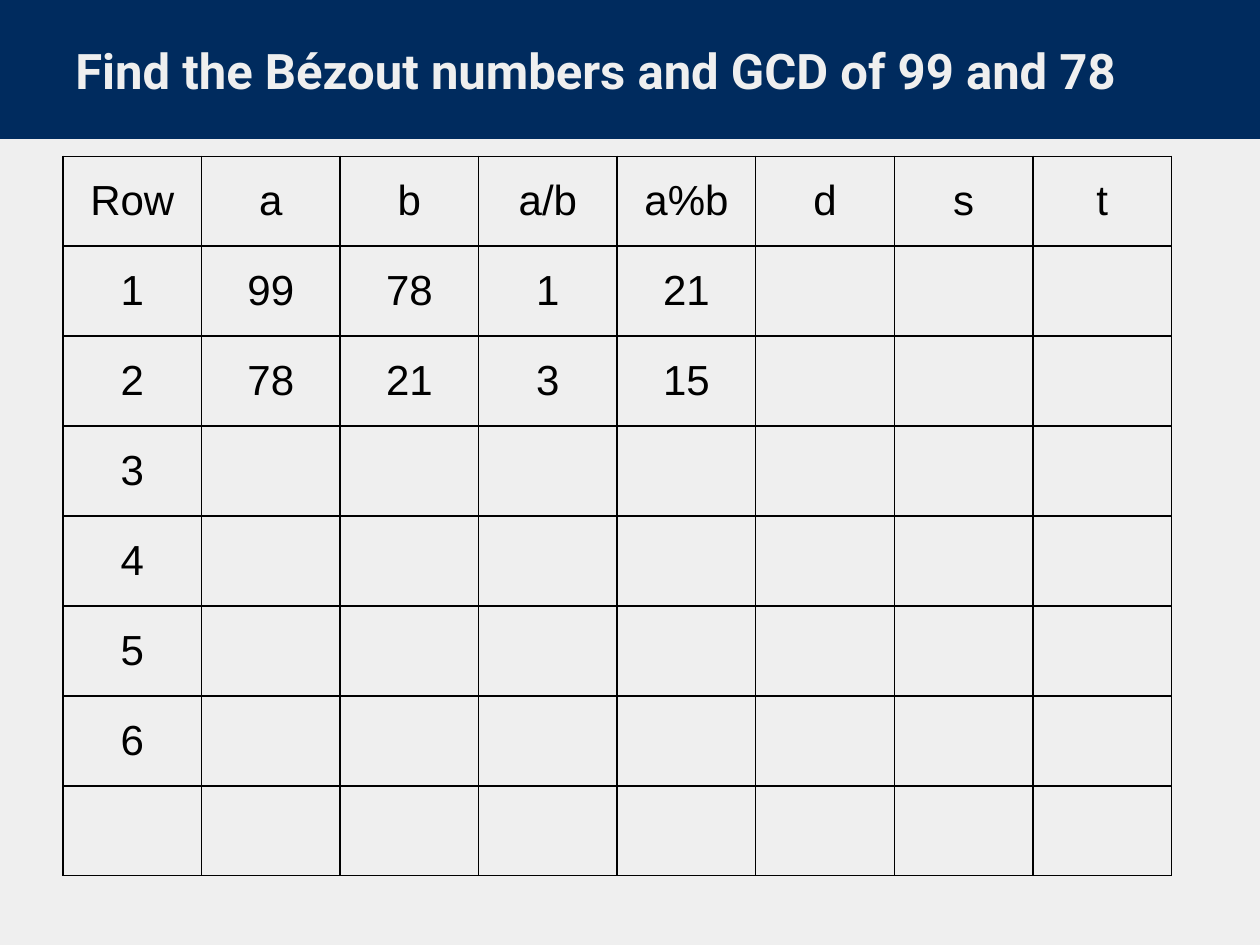
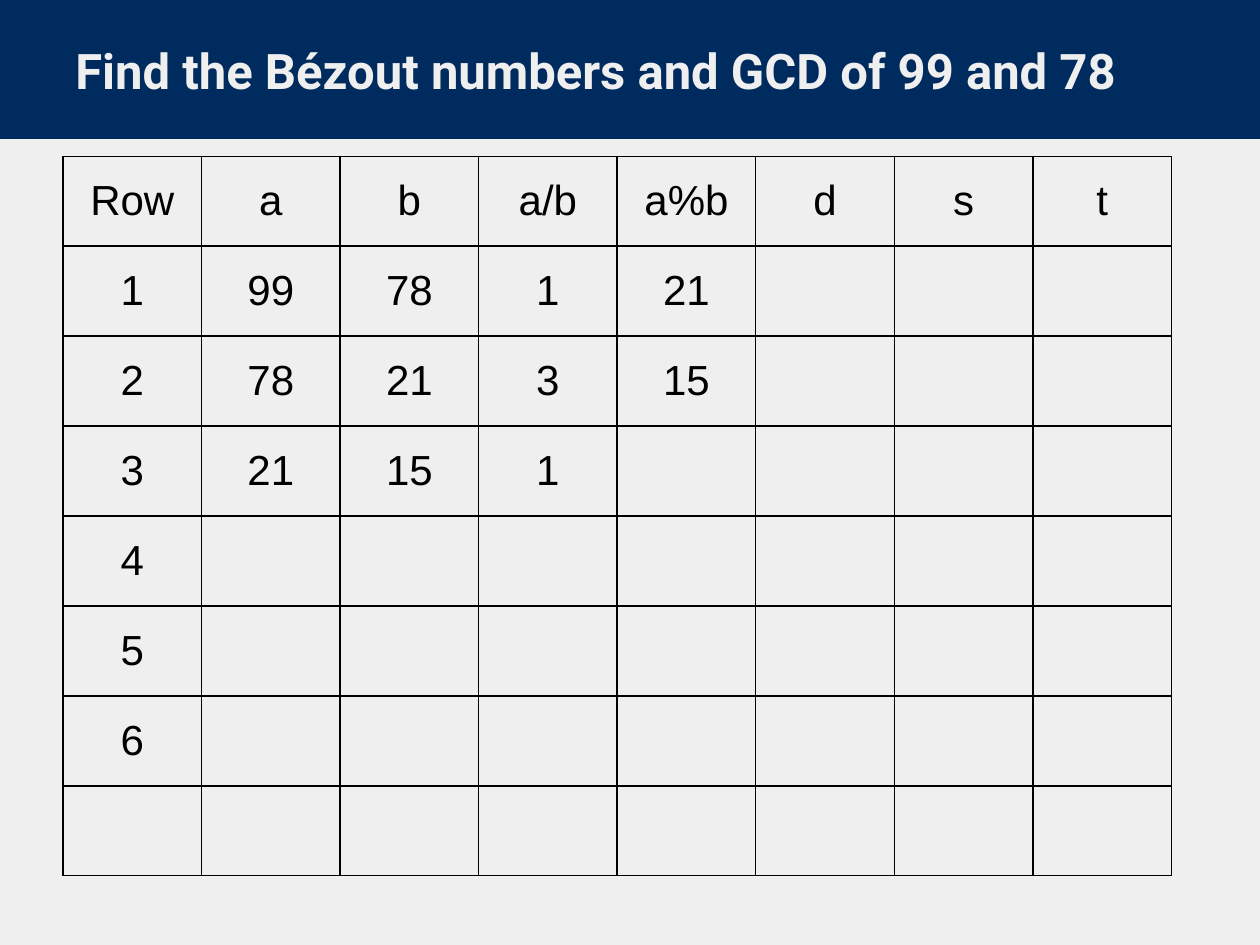
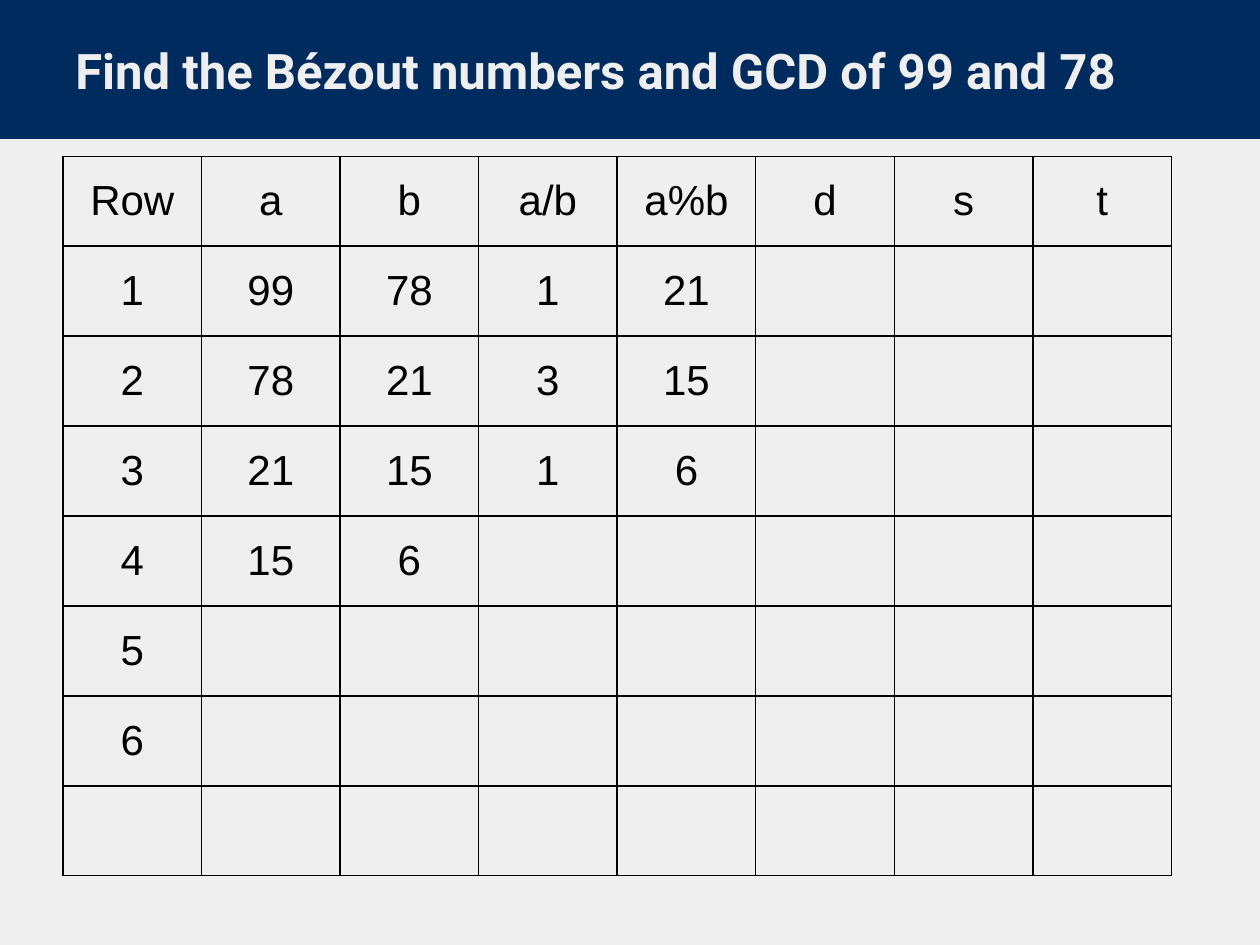
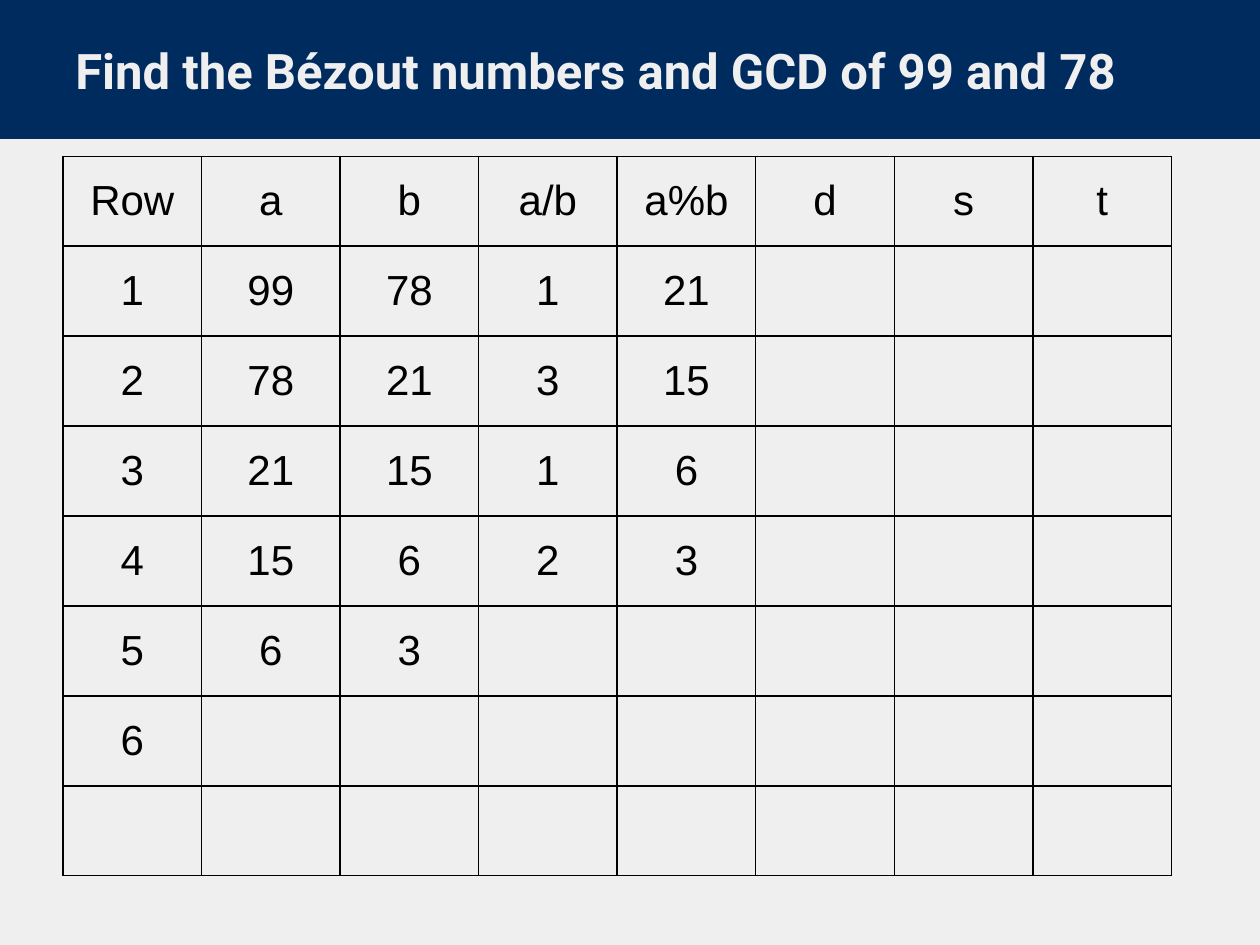
import pptx
import pptx.util
import pptx.dml.color
import pptx.enum.shapes
import pptx.enum.text
import pptx.oxml.ns
import lxml.etree

Cm = pptx.util.Cm
Pt = pptx.util.Pt
ANCHOR = pptx.enum.text.MSO_ANCHOR
ALIGN = pptx.enum.text.PP_ALIGN
COLORS = {"paper": "EFEFEF", "navy": "002B5E", "ink": "000000"}
TITLE_FONT = {"name": "Roboto", "size": Pt(28), "bold": True}
CELL_FONT = {"name": "Arial", "size": Pt(24), "bold": False}
TITLE_FRAME = {
    "vertical_anchor": ANCHOR.BOTTOM,
    "auto_size": pptx.enum.text.MSO_AUTO_SIZE.NONE,
    "word_wrap": True,
    "margin_left": Cm(0.25),
    "margin_right": Cm(0.25),
    "margin_top": Cm(0.25),
    "margin_bottom": Cm(0.25),
}
TITLE_BOX = {"left": Cm(1.27), "top": Cm(0.56), "width": Cm(22.86), "height": Cm(1.7)}
TABLE_BOX = (Cm(1.27), Cm(3.15), Cm(22.35), Cm(14.51))
TABLE_FLAGS = {"first_row": False, "horz_banding": False}
TITLE = "Find the Bézout numbers and GCD of 99 and 78"
HEADERS = ["Row", "a", "b", "a/b", "a%b", "d", "s", "t"]
NUMBERED_ROWS = 6
TABLE_ROWS = 8


def rgb(name):
    return pptx.dml.color.RGBColor.from_string(COLORS[name])


def assign(obj, values):
    for name, value in values.items():
        setattr(obj, name, value)


class Deck:
    def __init__(self):
        self.prs = pptx.Presentation()
        assign(self.prs, {"slide_width": Cm(25.4), "slide_height": Cm(19.05)})
        self.layout = self.prs.slide_layouts.get_by_name("Title Only")
        fill = self.prs.slide_master.background.fill
        fill.solid()
        fill.fore_color.rgb = rgb("paper")
        self.slide = None

    def new_slide(self):
        self.slide = self.prs.slides.add_slide(self.layout)

    def band(self):
        sp = self.slide.shapes.add_shape(
            pptx.enum.shapes.MSO_SHAPE.RECTANGLE, 0, 0, self.prs.slide_width, Cm(2.77))
        sp.shadow.inherit = False
        sp.fill.solid()
        sp.fill.fore_color.rgb = rgb("navy")
        sp.line.color.rgb = rgb("navy")
        sp.line.width = Pt(1.5)
        self.slide.shapes._spTree.insert(2, sp._element)

    def text(self, p, content, font, color, align):
        p.alignment = align
        r = p.add_run()
        r.text = content
        assign(r.font, font)
        r.font.color.rgb = rgb(color)

    def title(self, content):
        sp = self.slide.shapes.title
        assign(sp, TITLE_BOX)
        assign(sp.text_frame, TITLE_FRAME)
        self.text(sp.text_frame.paragraphs[0], content, TITLE_FONT, "paper", ALIGN.LEFT)

    def borders(self, cell):
        qn = pptx.oxml.ns.qn
        tc_pr = cell._tc.get_or_add_tcPr()
        for side in ("lnL", "lnR", "lnT", "lnB"):
            ln = lxml.etree.SubElement(tc_pr, qn("a:" + side), w=str(Pt(1)))
            fill = lxml.etree.SubElement(ln, qn("a:solidFill"))
            lxml.etree.SubElement(fill, qn("a:srgbClr"), val=COLORS["ink"])

    def table(self, rows):
        left, top, width, height = TABLE_BOX
        columns = len(HEADERS)
        table = self.slide.shapes.add_table(
            len(rows), columns, left, top, width, height).table
        assign(table, TABLE_FLAGS)
        for i, row in enumerate(rows):
            for j in range(columns):
                cell = table.cell(i, j)
                self.borders(cell)
                cell.fill.background()
                cell.vertical_anchor = ANCHOR.MIDDLE
                if j < len(row):
                    self.text(cell.text_frame.paragraphs[0], str(row[j]),
                              CELL_FONT, "ink", ALIGN.CENTER)


def euclid_rows(a, b, shown):
    rows = [HEADERS]
    for number in range(1, NUMBERED_ROWS + 1):
        row = [number]
        if number <= len(shown):
            row += [a, b, a // b, a % b][:shown[number - 1]]
            a, b = b, a % b
        rows.append(row)
    return rows + [[]] * (TABLE_ROWS - len(rows))


deck = Deck()
for shown in ([4, 4], [4, 4, 3], [4, 4, 4, 2], [4, 4, 4, 4, 2]):
    deck.new_slide()
    deck.band()
    deck.title(TITLE)
    deck.table(euclid_rows(99, 78, shown))
deck.prs.save("out.pptx")
